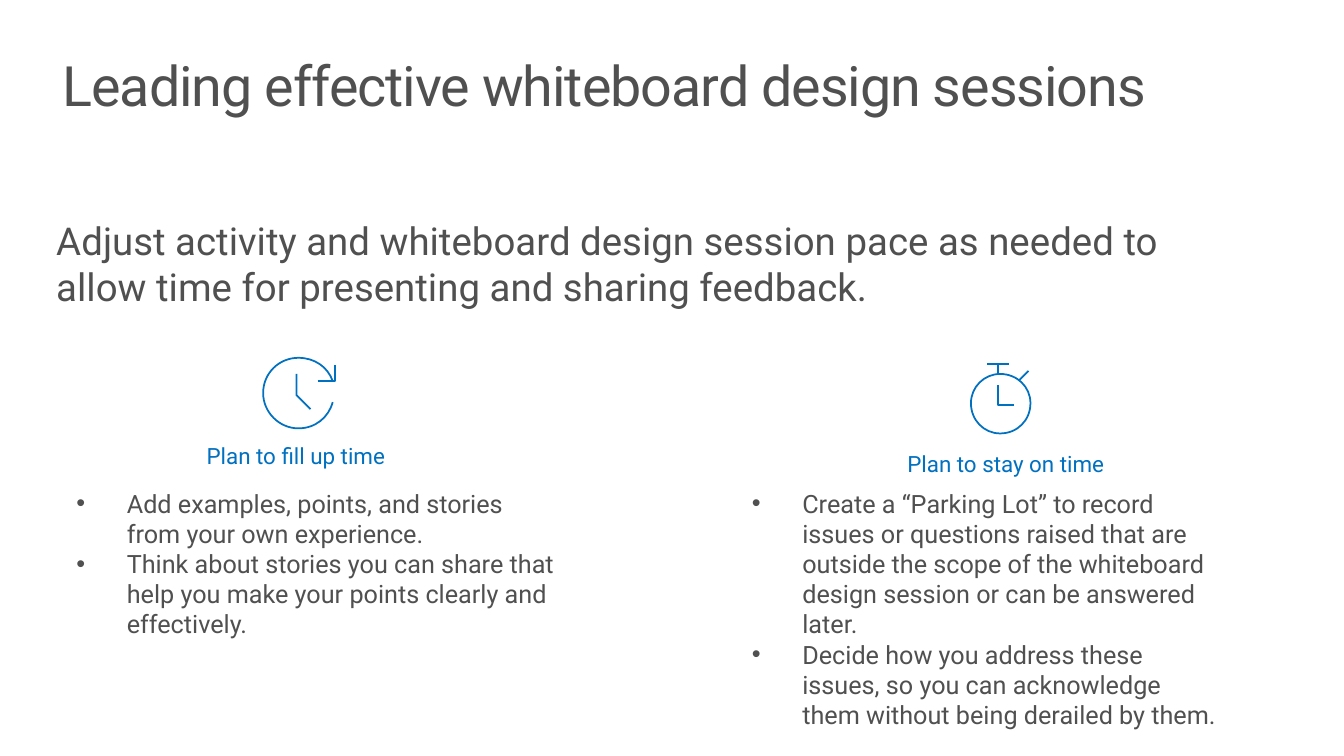
"""Build the slide on leading effective whiteboard design sessions."""
from lxml.etree import SubElement
from pptx import Presentation
from pptx.dml.color import RGBColor
from pptx.enum.text import MSO_AUTO_SIZE
from pptx.oxml.ns import qn
from pptx.util import Inches, Pt

THEME = {
    "font": "Roboto",
    "text": RGBColor(0x50, 0x50, 0x50),
    "accent": RGBColor(0x00, 0x70, 0xC0),
    "title": Pt(39.7),
    "lead": Pt(27.45),
    "heading": Pt(16),
    "body": Pt(18),
    "icon_line": Pt(1.25),
}


def add_text(box, lines, size, color="text", insets=(0.1, 0.05), paragraph_format=None, grow=True):
    """Add a wrapped text box and return its paragraphs."""
    frame = slide.shapes.add_textbox(*map(Inches, box)).text_frame
    horizontal, vertical = map(Inches, insets)
    frame_format = {
        "word_wrap": True,
        "auto_size": MSO_AUTO_SIZE.SHAPE_TO_FIT_TEXT if grow else MSO_AUTO_SIZE.NONE,
        "margin_left": horizontal,
        "margin_right": horizontal,
        "margin_top": vertical,
        "margin_bottom": vertical,
        "text": "\n".join(lines),
    }
    for name, value in frame_format.items():
        setattr(frame, name, value)
    for paragraph in frame.paragraphs:
        for name, value in (paragraph_format or {}).items():
            setattr(paragraph, name, value)
        font = paragraph.runs[0].font
        for name, value in {"name": THEME["font"], "size": THEME[size]}.items():
            setattr(font, name, value)
        font.color.rgb = THEME[color]
    return frame.paragraphs


def to_lengths(points):
    """Convert points in inches to lengths."""
    return [(Inches(x), Inches(y)) for x, y in points]


presentation = Presentation()
presentation.slide_width = Inches(13.33)
presentation.slide_height = Inches(7.5)
slide = presentation.slides.add_slide(presentation.slide_layouts[6])

title = add_text(
    (0.46, 0.48, 12.75, 0.98),
    ["Leading effective whiteboard design sessions"],
    "title",
    insets=(0.16, 0.1),
    paragraph_format={"line_spacing": 0.9},
    grow=False,
)
title[0].runs[0].font._element.set("spc", "-75")

add_text(
    (0.46, 2.1, 12, 1.02),
    ["Adjust activity and whiteboard design session pace as needed to allow time "
     "for presenting and sharing feedback."],
    "lead",
)

columns = [
    {
        "heading": "Plan to fill up time",
        "heading_box": (1.85, 4.3, 2.84, 0.57),
        "bullets": [
            "Add examples, points, and stories from your own experience.",
            "Think about stories you can share that help you make your points "
            "clearly and effectively.",
        ],
        "bullets_box": (0.66, 4.79, 5.01, 1.62),
        "dial": [
            (3.3, 3.78), (3.25, 3.64), (3.12, 3.55), (2.96, 3.55),
            (2.77, 3.55), (2.61, 3.7), (2.61, 3.9),
            (2.61, 4.09), (2.77, 4.25), (2.96, 4.25),
            (3.13, 4.25), (3.26, 4.14), (3.3, 3.99),
        ],
        "dial_closed": False,
        "strokes": [
            [(3.08, 4.06), (2.94, 3.92), (2.94, 3.71)],
            [(3.15, 3.78), (3.32, 3.78), (3.32, 3.62)],
        ],
    },
    {
        "heading": "Plan to stay on time",
        "heading_box": (8.8, 4.38, 2.84, 0.57),
        "bullets": [
            "Create a “Parking Lot” to record issues or questions raised that are outside "
            "the scope of the whiteboard design session or can be answered later.",
            "Decide how you address these issues, so you can acknowledge them without "
            "being derailed by them.",
        ],
        "bullets_box": (7.36, 4.79, 4.87, 2.22),
        "dial": [
            (10.22, 4), (10.22, 4.17), (10.09, 4.3), (9.92, 4.3),
            (9.76, 4.3), (9.63, 4.17), (9.63, 4),
            (9.63, 3.84), (9.76, 3.71), (9.92, 3.71),
            (10.09, 3.71), (10.22, 3.84), (10.22, 4),
        ],
        "dial_closed": True,
        "strokes": [
            [(9.9, 3.82), (9.9, 4.02), (10.06, 4.02)],
            [(9.79, 3.61), (10.01, 3.61)],
            [(9.9, 3.71), (9.9, 3.61)],
            [(10.11, 3.77), (10.2, 3.68)],
        ],
    },
]

for column in columns:
    add_text(
        column["heading_box"],
        [column["heading"]],
        "heading",
        color="accent",
        insets=(0.2, 0.16),
        paragraph_format={"line_spacing": 0.9, "space_after": Pt(6)},
    )

    for paragraph in add_text(column["bullets_box"], column["bullets"], "body"):
        properties = paragraph._p.get_or_add_pPr()
        properties.set("marL", str(Inches(0.5)))
        properties.set("indent", str(Inches(-0.5)))
        SubElement(properties, qn("a:buFont"), typeface="Arial")
        SubElement(properties, qn("a:buChar"), char="•")

    dial_start, *dial_points = to_lengths(column["dial"])
    builder = slide.shapes.build_freeform(*dial_start)
    builder.add_line_segments(dial_points, close=column["dial_closed"])
    for stroke in column["strokes"]:
        stroke_start, *stroke_points = to_lengths(stroke)
        builder.move_to(*stroke_start)
        builder.add_line_segments(stroke_points, close=False)
    icon = builder.convert_to_shape()

    segments = list(icon._element.iter(qn("a:lnTo")))[:len(dial_points)]
    for curve, *controls in zip(segments[::3], segments[1::3], segments[2::3]):
        curve.tag = qn("a:cubicBezTo")
        for control in controls:
            curve.append(control[0])
            control.getparent().remove(control)

    icon.shadow.inherit = False
    icon.fill.background()
    icon.line.color.rgb = THEME["accent"]
    icon.line.width = THEME["icon_line"]

presentation.save("out.pptx")
